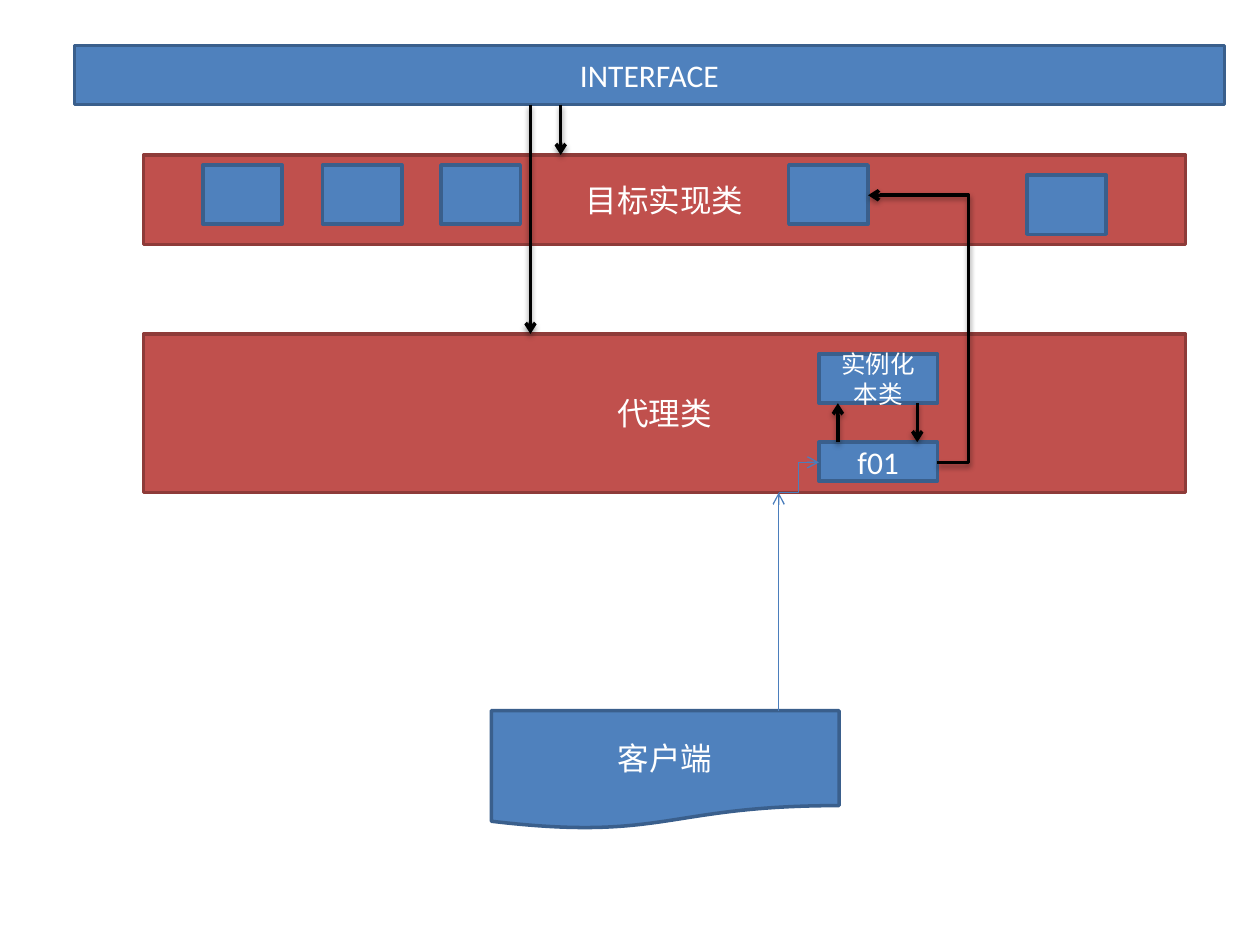
from lxml import etree
from pptx import Presentation
from pptx.dml.color import RGBColor
from pptx.enum.shapes import MSO_CONNECTOR, MSO_SHAPE
from pptx.enum.text import MSO_ANCHOR, PP_ALIGN
from pptx.oxml.ns import qn
from pptx.util import Inches, Pt

RECT = MSO_SHAPE.RECTANGLE
DOCUMENT = MSO_SHAPE.FLOWCHART_DOCUMENT
STRAIGHT = MSO_CONNECTOR.STRAIGHT
ELBOW = MSO_CONNECTOR.ELBOW
CENTER = PP_ALIGN.CENTER
MIDDLE = MSO_ANCHOR.MIDDLE

COLORS = {
    "blue": "4F81BD", "blue_edge": "3A5F8C",
    "red": "C0504D", "red_edge": "8E3B39",
    "call": "4B7EBC", "black": "000000", "white": "FFFFFF",
}
FONT = "Calibri"


def rgb(name):
    return RGBColor.from_string(COLORS[name])


def add_text(sp, text, size=18, color="white"):
    tf = sp.text_frame
    tf.word_wrap = True
    tf.vertical_anchor = MIDDLE
    p = tf.paragraphs[0]
    p.alignment = CENTER
    r = p.add_run()
    r.text = text
    r.font.size = Pt(size)
    r.font.name = FONT
    r.font.color.rgb = rgb(color)


def add_block(s, box, text="", color="blue", kind=RECT, size=18):
    sp = s.shapes.add_shape(kind, *(Inches(v) for v in box))
    sp.shadow.inherit = False
    sp.fill.solid()
    sp.fill.fore_color.rgb = rgb(color)
    sp.line.color.rgb = rgb(color + "_edge")
    sp.line.width = Pt(2)
    if text:
        add_text(sp, text, size=size)
    return sp


def add_arrow(s, start, end, kind=STRAIGHT, color="black", width=2, shadow=True, bend=None):
    cx = s.shapes.add_connector(kind, *(Inches(v) for v in (*start, *end)))
    cx.line.color.rgb = rgb(color)
    cx.line.width = Pt(width)
    etree.SubElement(cx.line._get_or_add_ln(), qn("a:tailEnd"), type="arrow")
    sp_pr = cx._element.spPr
    effects = etree.SubElement(sp_pr, qn("a:effectLst"))
    if shadow:
        shd = etree.SubElement(effects, qn("a:outerShdw"), blurRad=str(Pt(3.1)),
                               dist=str(Pt(1.6)), dir="5400000", rotWithShape="0")
        clr = etree.SubElement(shd, qn("a:srgbClr"), val=COLORS["black"])
        etree.SubElement(clr, qn("a:alpha"), val="38000")
    if bend is not None:
        guides = sp_pr.find(qn("a:prstGeom")).find(qn("a:avLst"))
        etree.SubElement(guides, qn("a:gd"), name="adj1", fmla=f"val {round(bend * 100000)}")


def add_target_class(s, box):
    x, y, w, h = box
    add_block(s, box, "目标实现类", color="red")
    methods = [(0.47, 0.08), (1.42, 0.08), (2.36, 0.08), (5.12, 0.08), (7.01, 0.16)]
    for dx, dy in methods:
        add_block(s, (x + dx, y + dy, 0.63, 0.47))


def add_proxy_class(s, box):
    x, y, w, h = box
    add_block(s, box, "代理类", color="red")
    left, width = x + 5.36, 0.94
    instance_bottom, method_top = y + 0.55, y + 0.86
    add_block(s, (left, method_top, width, 0.31), "f01")
    add_block(s, (left, y + 0.16, width, 0.39), "实例化本类", size=14)
    up, down = left + 0.15, left + width - 0.16
    add_arrow(s, (up, method_top), (up, instance_bottom))
    add_arrow(s, (down, instance_bottom), (down, method_top))


def add_client(s, box, proxy_bottom, method):
    x, y, w, h = box
    add_block(s, box, "客户端", kind=DOCUMENT)
    entry = (x + 2.28, proxy_bottom)
    call = dict(color="call", width=0.75, shadow=False)
    add_arrow(s, (entry[0], y), entry, **call)
    add_arrow(s, entry, method, kind=ELBOW, **call)


def add_interface(s, box, target_top, proxy_top):
    x, y, w, h = box
    add_block(s, box, "INTERFACE")
    for dx, end in ((3.86, target_top), (3.62, proxy_top)):
        add_arrow(s, (x + dx, y + h), (x + dx, end))


def main():
    prs = Presentation()
    prs.slide_width, prs.slide_height = Inches(10), Inches(7.5)
    s = prs.slides.add_slide(prs.slide_layouts[6])
    target = (1.14, 1.23, 8.27, 0.71)
    proxy = (1.14, 2.65, 8.27, 1.26)
    add_target_class(s, target)
    add_proxy_class(s, proxy)
    add_interface(s, (0.59, 0.36, 9.13, 0.47), target[1], proxy[1])
    add_client(s, (3.9, 5.64, 2.76, 0.94), proxy[1] + proxy[3], (6.5, 3.67))
    add_arrow(s, (7.44, 3.67), (6.89, 1.55), kind=ELBOW, bend=-0.45)
    prs.save("out.pptx")


if __name__ == "__main__":
    main()
